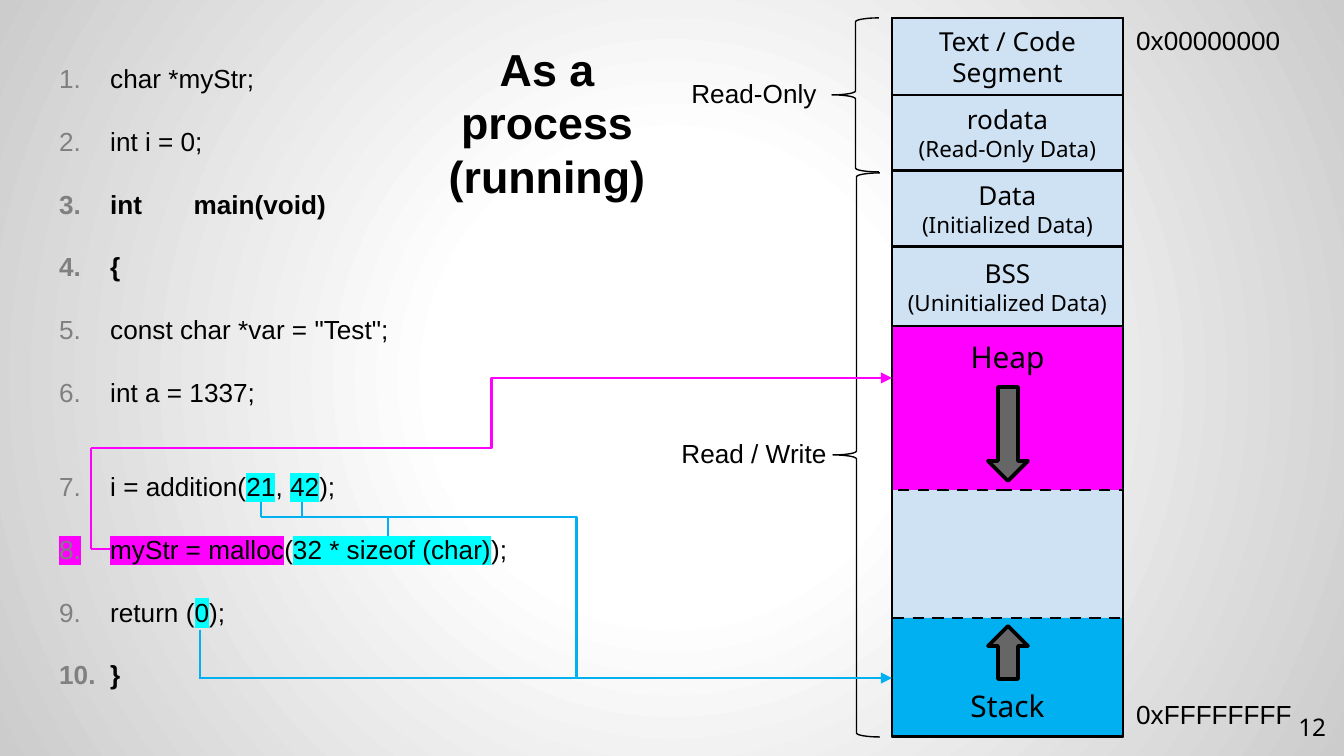
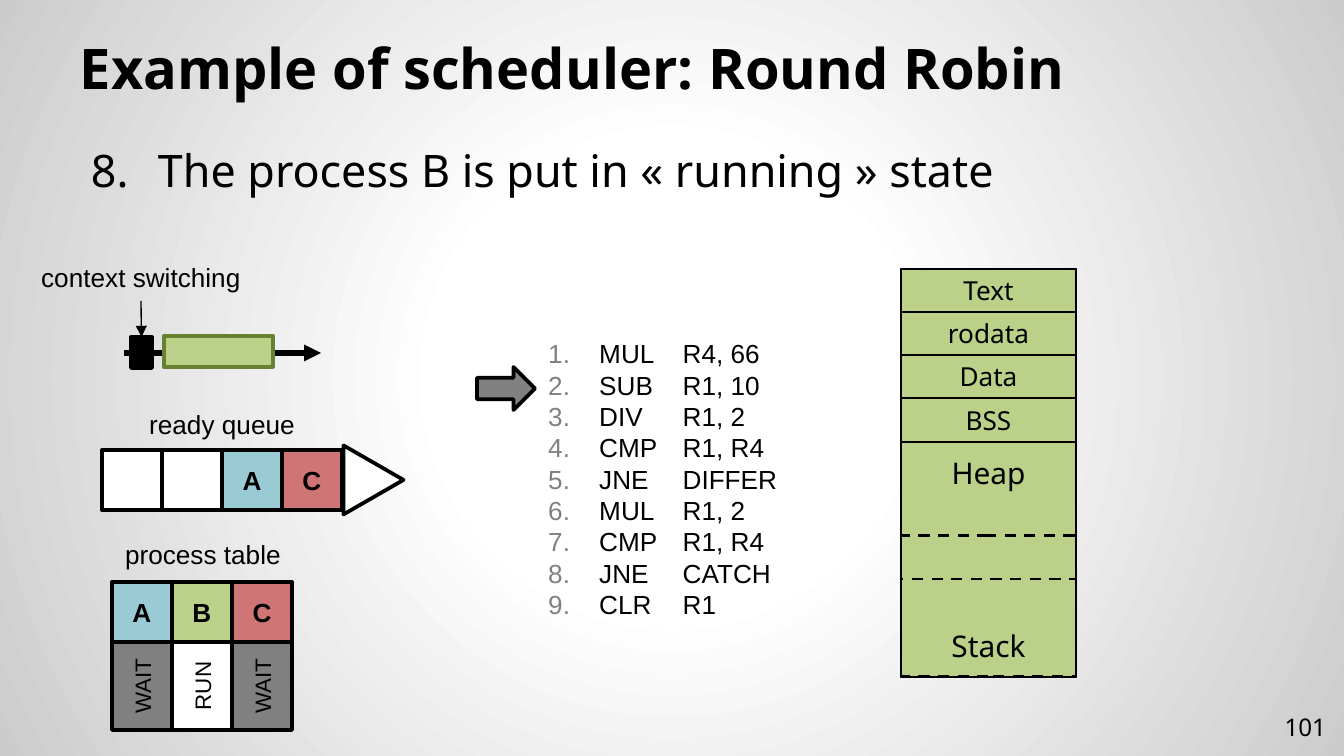
from copy import deepcopy

from pptx import Presentation
from pptx.dml.color import RGBColor
from pptx.enum.dml import MSO_LINE
from pptx.enum.shapes import MSO_CONNECTOR, MSO_SHAPE
from pptx.enum.text import MSO_ANCHOR, PP_ALIGN
from pptx.oxml import parse_xml
from pptx.oxml.ns import nsdecls, qn
from pptx.util import Pt

PX = 9144000 / 1344
RECT, BRACE, TRIANGLE = MSO_SHAPE.RECTANGLE, MSO_SHAPE.LEFT_BRACE, MSO_SHAPE.ISOSCELES_TRIANGLE
DOWN, RIGHT_ARROW = MSO_SHAPE.DOWN_ARROW, MSO_SHAPE.RIGHT_ARROW
STRAIGHT, ELBOW = MSO_CONNECTOR.STRAIGHT, MSO_CONNECTOR.ELBOW
LEFT, CENTER, RIGHT = PP_ALIGN.LEFT, PP_ALIGN.CENTER, PP_ALIGN.RIGHT
TOP, MIDDLE, BOTTOM = MSO_ANCHOR.TOP, MSO_ANCHOR.MIDDLE, MSO_ANCHOR.BOTTOM
DASH = MSO_LINE.DASH

BLACK, WHITE, GREY, DARK = "000000", "FFFFFF", "808080", "666666"
PALE, MAGENTA, BLUE, CYAN = "CFE2F3", "FF00FF", "00B0F0", "00FFFF"
TEAL, GREEN, RED, OLIVE = "9ACAD3", "BBD189", "D07576", "688031"
SANS = "Noto Sans"
rgb = RGBColor.from_string


def box(s, x, y, w, h, paras=(), kind=None, fill=None, line=None, lw=2, dash=None,
        align=LEFT, anchor=TOP, pad=None, rot=0, number=None, **font):
    """Add a shape, or a text box if kind is None.

    Each paragraph is a string or a list of (text, font overrides);
    number is (colour, left margin, start).
    """
    area = [round(v * PX) for v in (x, y, w, h)]
    if kind is None:
        sp = s.shapes.add_textbox(*area)
    else:
        sp = s.shapes.add_shape(kind, *area)
        sp.shadow.inherit = False
        if fill:
            sp.fill.solid()
            sp.fill.fore_color.rgb = rgb(fill)
        else:
            sp.fill.background()
        sp.line.color.rgb = rgb(line or BLACK)
        sp.line.width = Pt(lw)
        if dash:
            sp.line.dash_style = dash
    sp.rotation = rot
    tf = sp.text_frame
    tf.word_wrap = True
    tf.vertical_anchor = anchor
    if pad is not None:
        for side in ("left", "top", "right", "bottom"):
            setattr(tf, f"margin_{side}", round(pad * PX))
    for i, para in enumerate(paras):
        p = tf.add_paragraph() if i else tf.paragraphs[0]
        p.alignment = align
        if number:
            colour, margin, start = number
            pPr = p._p.get_or_add_pPr()
            pPr.set("marL", str(round(margin * PX)))
            pPr.set("indent", str(round((-67 if margin > 51 else -51) * PX)))
            pPr.append(parse_xml(f'<a:buClr {nsdecls("a")}><a:srgbClr val="{colour}"/></a:buClr>'))
            pPr.append(parse_xml(f'<a:buAutoNum {nsdecls("a")} type="arabicPeriod" startAt="{start}"/>'))
        for text, extra in [(para, {})] if isinstance(para, str) else para:
            fmt = {"name": "Arial", "size": 14, "bold": False, **font, **extra}
            highlight = fmt.pop("highlight", None)
            fmt["size"] = Pt(fmt["size"])
            for j, part in enumerate(text.split("\n")):
                if j:
                    p.add_line_break()
                    p._p.findall(qn("a:br"))[-1].append(deepcopy(r._r.rPr))
                if not part:
                    continue
                r = p.add_run()
                r.text = part
                for key, value in fmt.items():
                    setattr(r.font, key, value)
                r.font.color.rgb = rgb(BLACK)
                if highlight:
                    r._r.rPr.find(qn("a:solidFill")).addnext(parse_xml(
                        f'<a:highlight {nsdecls("a")}><a:srgbClr val="{highlight}"/></a:highlight>'))
    return sp


def connect(s, x1, y1, x2, y2, colour=BLACK, width=1.5, kind=STRAIGHT, arrow=False):
    c = s.shapes.add_connector(kind, *[round(v * PX) for v in (x1, y1, x2, y2)])
    c.line.color.rgb = rgb(colour)
    c.line.width = Pt(width)
    if arrow:
        c.line._get_or_add_ln().append(parse_xml(f'<a:tailEnd {nsdecls("a")} type="triangle"/>'))
    c._element.spPr.append(parse_xml(f'<a:effectLst {nsdecls("a")}/>'))
    return c


prs = Presentation()
prs.slide_width, prs.slide_height = round(1344 * PX), round(756 * PX)

# Shared background
prs.slide_master.background.fill.solid()
bg = prs.slide_master.element.xpath(".//p:bgPr")[0]
stops = "".join(f'<a:gs pos="{pos}000"><a:srgbClr val="{colour}"/></a:gs>'
                for pos, colour in ((0, WHITE), (30, WHITE), (100, "CCCCCC")))
bg.replace(bg[0], parse_xml(
    f'<a:gradFill {nsdecls("a")}><a:gsLst>{stops}</a:gsLst><a:path path="circle">'
    '<a:fillToRect l="50000" t="50000" r="50000" b="50000"/></a:path></a:gradFill>'))

# Shared page number and memory map
small = {"size": 12}
maps = [
    ("12", 892, 231, (18, 95, 171, 247, 326, 490, 618, 737), PALE, MAGENTA, BLUE,
     ("Text / Code Segment",
      [("rodata\n", {}), ("(Read-Only Data)", small)],
      [("Data\n", {}), ("(Initialized Data)", small)],
      [("BSS\n", {}), ("(Uninitialized Data)", small)])),
    ("101", 901, 175, (269, 312, 355, 398, 442, 536, 579, 677), GREEN, GREEN, GREEN,
     ("Text", "rodata", "Data", "BSS")),
]
for page, x, w, tops, fill, heap, stack, labels in maps:
    s = prs.slides.add_slide(prs.slide_layouts[6])
    box(s, 1258, 698, 81, 58, [page], align=RIGHT, anchor=MIDDLE, pad=13, name=SANS, size=13)
    height = tops[-1] - tops[0]
    box(s, x, tops[0], w, height, kind=RECT, fill=fill, lw=1.5)
    for i, label, colour, anchor in ((4, "Heap", heap, TOP), (6, "Stack", stack, BOTTOM)):
        box(s, x, tops[i], w, tops[i + 1] - tops[i], [label], RECT, colour, lw=1.5, dash=DASH,
            align=CENTER, anchor=anchor, pad=13, name=SANS, size=16)
    for i, label in enumerate(labels):
        box(s, x, tops[i], w, tops[i + 1] - tops[i], [label], RECT, fill, lw=1.5,
            align=CENTER, anchor=MIDDLE, pad=13, name=SANS)
    box(s, x, tops[0], w, height, kind=RECT, lw=1.5)
process, scheduler = prs.slides

# Slide 1: process in memory
s = process
box(s, 392, 34, 310, 176, ["As a\nprocess", "(running)"], align=CENTER, anchor=MIDDLE,
    size=24, bold=True)
box(s, 988, 387, 40, 94, kind=DOWN, fill=DARK)
box(s, 988, 626, 40, 53, kind=DOWN, fill=DARK, rot=180)

bold, cyan = {"bold": True}, {"highlight": CYAN}
code = [
    "char *myStr;",
    "int i = 0;",
    [("int\tmain(void)", bold)],
    [("{", bold)],
    'const char *var = "Test";',
    "int a = 1337;",
    [("i = addition(", {}), ("21", cyan), (", ", {}), ("42", cyan), (");", {})],
    [("myStr = malloc", {"highlight": MAGENTA}), ("(", {}), ("32 * sizeof (char)", cyan), (");", {})],
    [("return (", {}), ("0", cyan), (");", {})],
    [("}", bold)],
]
sp = box(s, 46, 56, 589, 646, code, number=(GREY, 51, 1))
for i, p in enumerate(sp.text_frame.paragraphs[1:], 2):
    p.space_before = Pt(33.6 if i == 7 else 16.8)

for x, y, h in ((832, 18, 154), (833, 173, 564)):
    box(s, x, y, 47, h, kind=BRACE, lw=0.75)
for x, y, w, text in ((676, 71, 156, "Read-Only"), (655, 431, 198, "Read / Write")):
    box(s, x, y, w, 46, [text], align=CENTER)
for y, w, text in ((18, 180, "0x00000000"), (692, 192, "0xFFFFFFFF")):
    box(s, 1123, y, w, 46, [text])

connect(s, 261, 517, 892, 678, BLUE, kind=ELBOW, arrow=True)
connect(s, 91, 448, 892, 378, MAGENTA, kind=ELBOW, arrow=True)
for colour, *ends in (
        (BLUE, 388, 517, 388, 536), (BLUE, 200, 630, 200, 678), (BLUE, 199, 678, 576, 678),
        (BLUE, 261, 502, 261, 517), (BLUE, 302, 502, 302, 517),
        (MAGENTA, 91, 448, 91, 549), (MAGENTA, 91, 549, 110, 549)):
    connect(s, *ends, colour)

# Slide 2: round robin
s = scheduler
box(s, 67, 31, 1210, 83, ["Example of scheduler: Round Robin"], anchor=BOTTOM, pad=13,
    name=SANS, size=30, bold=True)
box(s, 67, 130, 1210, 592, ["The process B is put in « running » state"], pad=13,
    number=(BLACK, 78, 8), name=SANS, size=24)
for x, y, w, text in ((24, 255, 234, "context switching"), (110, 402, 224, "ready queue"),
                      (89, 532, 228, "process table")):
    box(s, x, y, w, 46, [text], align=CENTER)

# Timeline
connect(s, 124, 353, 321, 353, width=3, arrow=True)
switch = box(s, 131, 337, 21, 31, kind=RECT, fill=BLACK)
box(s, 164, 336, 109, 31, kind=RECT, fill=GREEN, line=OLIVE)
connect(s, 141, 301, 141, 337, width=0.75, arrow=True).end_connect(switch, 0)

# Ready queue and process table
CELL = 60
cell = {"kind": RECT, "align": CENTER, "anchor": MIDDLE, "bold": True}
for i, (name, fill) in enumerate((("", WHITE), ("", WHITE), ("A", TEAL), ("C", RED))):
    box(s, 102 + i * CELL, 450, CELL, CELL, [name], fill=fill, **cell)
box(s, 339, 450, 69, CELL, kind=TRIANGLE, fill=WHITE, rot=90)
for i, (name, fill, state, shade) in enumerate((
        ("A", TEAL, "WAIT", GREY), ("B", GREEN, "RUN", WHITE), ("C", RED, "WAIT", GREY))):
    x = 112 + i * CELL
    box(s, x, 582, CELL, CELL, [name], fill=fill, **cell)
    box(s, x, 642, CELL, 88, kind=RECT, fill=shade)
    box(s, x - 14, 666, 88, 40, [state], align=CENTER, rot=270, size=12)

# Program of process B
box(s, 535, 331, 308, 298, [
    "MUL\tR4, 66", "SUB\tR1, 10", "DIV\tR1, 2", "CMP\tR1, R4", "JNE\tDIFFER",
    "MUL\tR1, 2", "CMP\tR1, R4", "JNE\tCATCH", "CLR\tR1"], number=(GREY, 51, 1))
box(s, 477, 367, 58, 43, kind=RIGHT_ARROW, fill=GREY)

prs.save("out.pptx")
